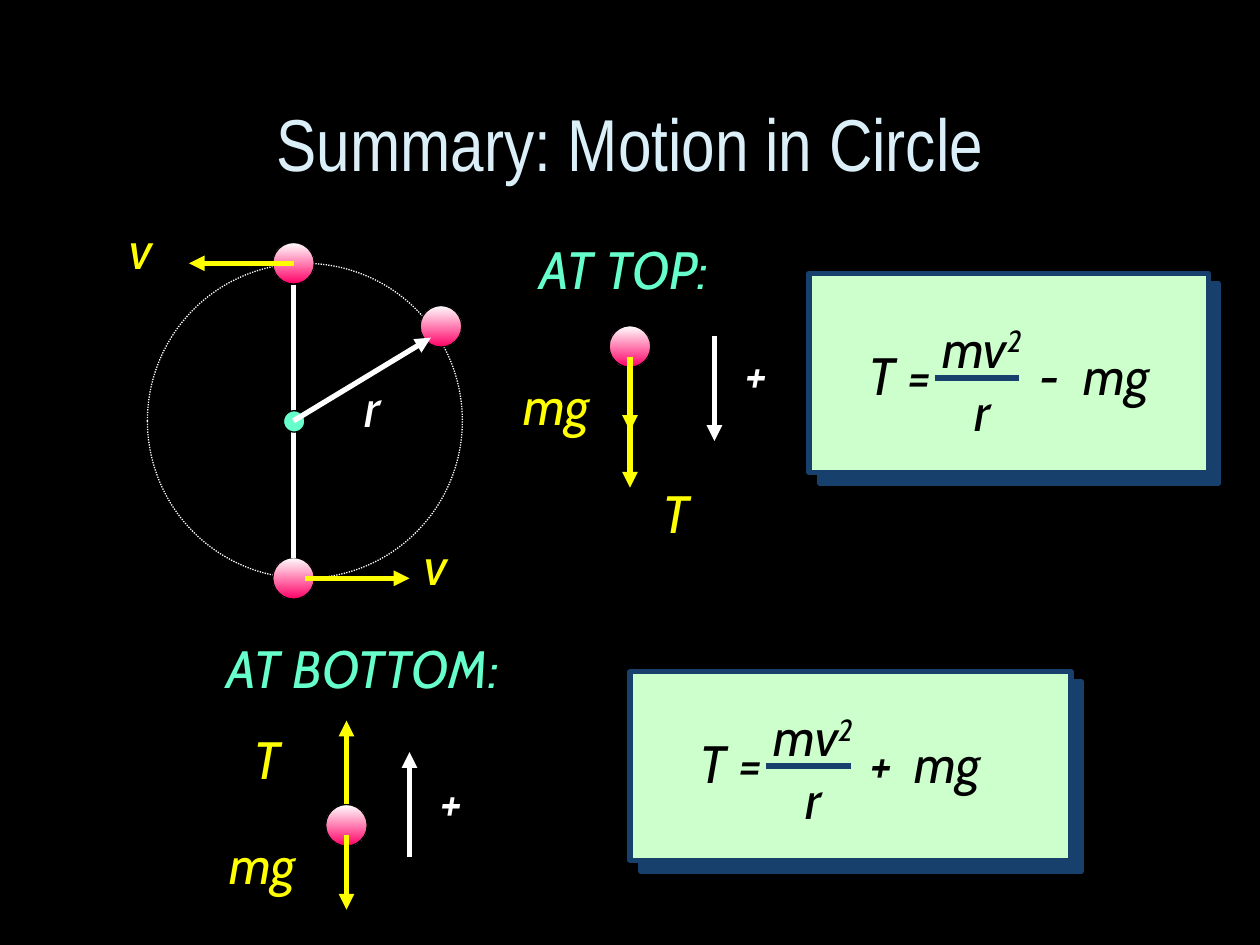
import dataclasses

import pptx
import pptx.dml.color
import pptx.enum.dml
import pptx.enum.shapes
import pptx.enum.text
import pptx.oxml.ns
import pptx.oxml.xmlchemy
import pptx.util
from lxml import etree
from pptx.util import Inches

SHAPE = pptx.enum.shapes.MSO_SHAPE
ALIGN = pptx.enum.text.PP_ALIGN
qn = pptx.oxml.ns.qn


@dataclasses.dataclass(frozen=True)
class Theme:
    background: str = "000000"
    title: str = "DBEFF9"
    vector: str = "FFFF00"
    guide: str = "FFFFFF"
    heading: str = "66FFCC"
    ball_top: str = "FFFFFF"
    ball_bottom: str = "FF0066"
    card: str = "CCFFCC"
    navy: str = "17406D"
    ink: str = "000000"
    title_font: str = "Arial Narrow"
    body_font: str = "Cabin"
    title_size: int = 42
    body_size: int = 30
    thin: float = 0.75
    thick: float = 3


THEME = Theme()
BALL = 0.33


def rgb(value):
    return pptx.dml.color.RGBColor.from_string(value)


def style_font(font, color, size=THEME.body_size, name=THEME.body_font, italic=True):
    font.name = name
    font.size = pptx.util.Pt(size)
    font.italic = italic
    font.color.rgb = rgb(color)


def style_line(line, color, width):
    line.color.rgb = rgb(color)
    line.width = pptx.util.Pt(width)


def add_title(slide, text):
    title = slide.shapes.title
    title.left, title.top = Inches(1), Inches(0.5)
    title.width, title.height = Inches(8), Inches(1.25)
    frame = title.text_frame
    frame.text = text
    frame.vertical_anchor = pptx.enum.text.MSO_ANCHOR.MIDDLE
    frame.paragraphs[0].alignment = ALIGN.CENTER
    style_font(frame.paragraphs[0].runs[0].font, THEME.title,
               THEME.title_size, THEME.title_font, False)


def add_label(slide, text, left, top, width, color, height=0.6):
    label = slide.shapes.add_textbox(
        Inches(left), Inches(top), Inches(width), Inches(height))
    frame = label.text_frame
    frame.word_wrap = True
    frame.vertical_anchor = pptx.enum.text.MSO_ANCHOR.MIDDLE
    frame.text = text
    for paragraph in frame.paragraphs:
        paragraph.alignment = ALIGN.CENTER
        for run in paragraph.runs:
            style_font(run.font, color)
    return frame


def add_figure(slide, kind, left, top, width, height):
    figure = slide.shapes.add_shape(
        kind, Inches(left), Inches(top), Inches(width), Inches(height))
    figure.shadow.inherit = False
    return figure


def add_ball(slide, center_x, center_y):
    ball = add_figure(slide, SHAPE.OVAL, center_x - BALL / 2,
                      center_y - BALL / 2, BALL, BALL)
    ball.fill.gradient()
    ball.fill.gradient_angle = 270
    for stop, color, position in zip(ball.fill.gradient_stops,
                                     (THEME.ball_top, THEME.ball_bottom), (0, 1)):
        stop.color.rgb = rgb(color)
        stop.position = position
    style_line(ball.line, THEME.ink, THEME.thin)


def add_line(slide, start, end, color, arrow=True):
    line = slide.shapes.add_connector(
        pptx.enum.shapes.MSO_CONNECTOR.STRAIGHT,
        *(Inches(value) for value in (*start, *end)))
    style_line(line.line, color, THEME.thick)
    if arrow:
        etree.SubElement(line.line._get_or_add_ln(), qn("a:tailEnd"), type="triangle")
    etree.SubElement(line._element.spPr, qn("a:effectLst"))


def add_circle_diagram(slide):
    orbit = add_figure(slide, SHAPE.OVAL, 1.17, 2.09, 2.5, 2.5)
    orbit.fill.background()
    style_line(orbit.line, THEME.guide, THEME.thin)
    orbit.line.dash_style = pptx.enum.dml.MSO_LINE.ROUND_DOT

    for center in ((3.5, 2.59), (2.33, 2.09), (2.33, 4.59)):
        add_ball(slide, *center)
    add_line(slide, (2.33, 2.09), (1.5, 2.09), THEME.vector)
    add_line(slide, (2.42, 4.59), (3.25, 4.59), THEME.vector)
    add_line(slide, (2.33, 2.26), (2.33, 4.43), THEME.guide, arrow=False)

    hub = add_figure(slide, SHAPE.OVAL, 2.25, 3.26, 0.17, 0.17)
    hub.fill.solid()
    hub.fill.fore_color.rgb = rgb(THEME.heading)
    style_line(hub.line, THEME.ink, THEME.thin)
    add_line(slide, (2.33, 3.34), (3.42, 2.68), THEME.guide)

    add_label(slide, "v", 0.83, 1.67, 0.58, THEME.vector)
    add_label(slide, "v", 3.17, 4.18, 0.58, THEME.vector)
    add_label(slide, "r", 2.67, 2.93, 0.58, THEME.guide)


def add_force_diagram(slide, ball, forces, positive, labels):
    add_ball(slide, *ball)
    for start, end in forces:
        add_line(slide, (ball[0], start), (ball[0], end), THEME.vector)
    x, start, end = positive
    add_line(slide, (x, start), (x, end), THEME.guide)
    for text, left, top, width, color in labels:
        add_label(slide, text, left, top, width, color)


def add_card(slide, left, top, width, height):
    card = add_figure(slide, SHAPE.RECTANGLE, left, top, width, height)
    card.fill.solid()
    card.fill.fore_color.rgb = rgb(THEME.card)
    style_line(card.line, THEME.navy, THEME.thick)
    effects = card._element.spPr.find(qn("a:effectLst"))
    shadow = etree.SubElement(
        effects, qn("a:outerShdw"), dist=str(pptx.util.Pt(8.5)),
        dir="2700000", algn="ctr", rotWithShape="0")
    etree.SubElement(shadow, qn("a:srgbClr"), val=THEME.navy)


def add_equation(slide, sign, left, top):
    equation = add_label(slide, f"T =\t{sign}\tmg", left, top, 3.33, THEME.ink)
    equation.margin_left = Inches(0.47)
    terms = equation.paragraphs[0]
    terms.alignment = ALIGN.LEFT
    tabs = etree.SubElement(terms._p.get_or_add_pPr(), qn("a:tabLst"))
    for position in (1.36, 1.71):
        etree.SubElement(tabs, qn("a:tab"), pos=str(Inches(position)), algn="l")

    fraction = add_label(slide, "mv\nr", left + 0.75, top - 0.21, 1.25,
                         THEME.ink, height=1.1)
    exponent = fraction.paragraphs[0].add_run()
    exponent.text = "2"
    style_font(exponent.font, THEME.ink)
    exponent._r.get_or_add_rPr().set("baseline", "30000")
    add_line(slide, (left + 1, top + 0.33), (left + 1.67, top + 0.33),
             THEME.navy, arrow=False)


def main():
    deck = pptx.Presentation()
    deck.slide_width, deck.slide_height = Inches(10), Inches(7.5)
    slide = deck.slides.add_slide(deck.slide_layouts[5])
    slide.background.fill.solid()
    slide.background.fill.fore_color.rgb = rgb(THEME.background)

    add_title(slide, "Summary: Motion in Circle")
    add_circle_diagram(slide)

    add_label(slide, "AT TOP:", 3.83, 1.83, 2.25, THEME.heading)
    add_force_diagram(
        slide, (5, 2.75), ((2.95, 3.87), (2.83, 3.42)), (5.67, 2.67, 3.5),
        (("T", 5.08, 3.77, 0.58, THEME.vector),
         ("mg", 4, 2.91, 0.83, THEME.vector),
         ("+", 5.67, 2.66, 0.67, THEME.guide)))
    add_card(slide, 6.42, 2.17, 3.17, 1.58)
    add_equation(slide, "-", 6.42, 2.67)

    add_label(slide, "AT BOTTOM:", 1.42, 5, 2.92, THEME.heading)
    add_force_diagram(
        slide, (2.75, 6.55), ((6.38, 5.72), (6.63, 7.22)), (3.25, 6.8, 5.97),
        (("T", 1.83, 5.72, 0.58, THEME.vector),
         ("mg", 1.67, 6.55, 0.83, THEME.vector),
         ("+", 3.25, 6.05, 0.67, THEME.guide)))
    add_card(slide, 5, 5.33, 3.5, 1.5)
    add_equation(slide, "+", 5.08, 5.75)

    deck.save("out.pptx")


if __name__ == "__main__":
    main()
